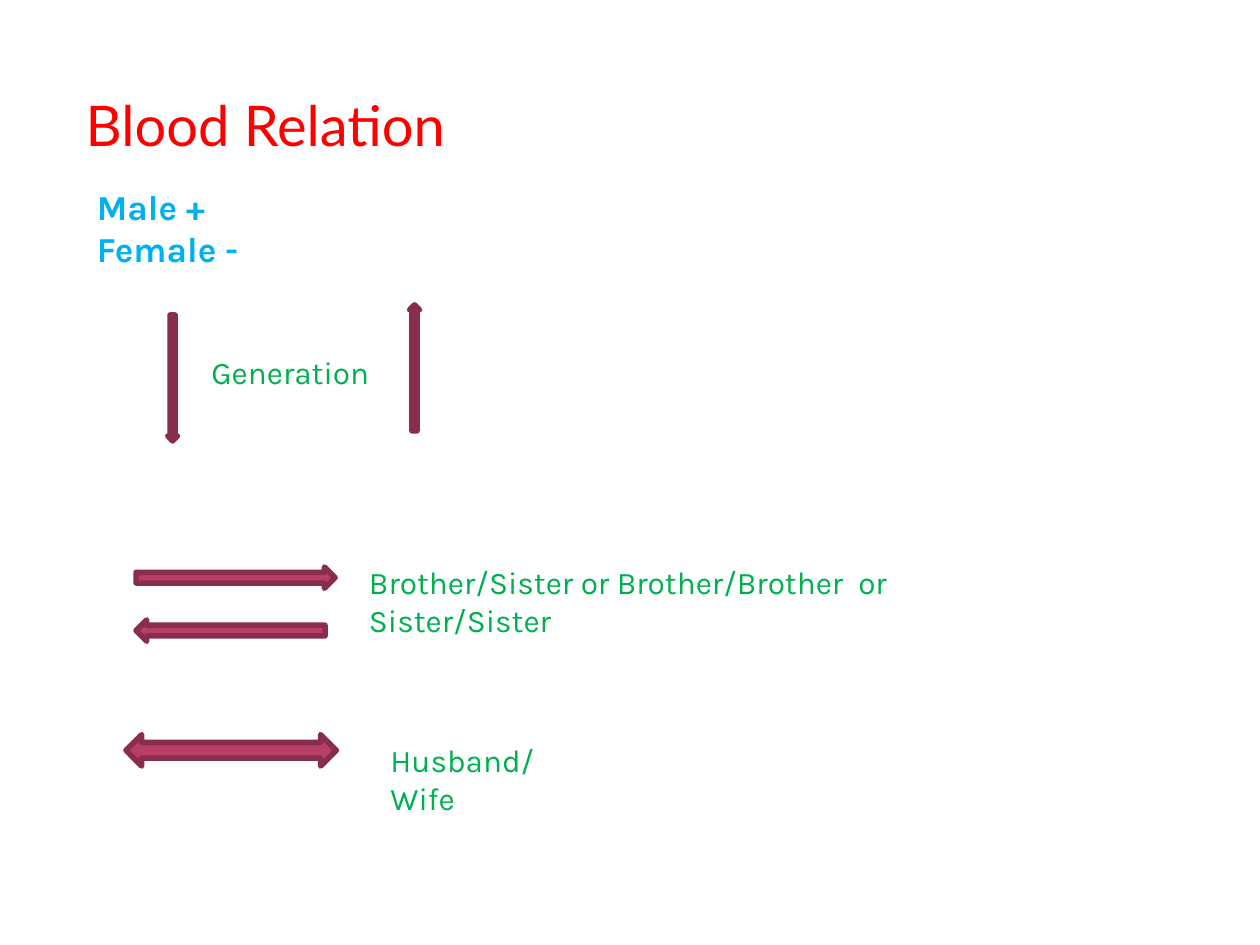
from dataclasses import dataclass

from pptx import Presentation
from pptx.dml.color import RGBColor
from pptx.enum.shapes import MSO_SHAPE
from pptx.enum.text import MSO_ANCHOR, MSO_AUTO_SIZE, PP_ALIGN
from pptx.util import Inches, Pt

DOWN, UP = MSO_SHAPE.DOWN_ARROW, MSO_SHAPE.UP_ARROW
RIGHT, LEFT = MSO_SHAPE.RIGHT_ARROW, MSO_SHAPE.LEFT_ARROW
BOTH = MSO_SHAPE.LEFT_RIGHT_ARROW
TOP = MSO_ANCHOR.TOP
NO_FIT = MSO_AUTO_SIZE.NONE
ALIGN_LEFT = PP_ALIGN.LEFT


@dataclass(frozen=True)
class Style:
    name: str
    size: float
    color: str
    bold: bool = False


@dataclass(frozen=True)
class Theme:
    title: Style = Style("Lato", 32, "FF0000")
    sign: Style = Style("Karla", 20, "00B0F0", True)
    relation: Style = Style("Karla", 18, "00B050")
    arrow_fill: str = "B83D68"
    arrow_line: str = "882D4D"
    arrow_width: float = 3.15


THEME = Theme()


@dataclass(frozen=True)
class Box:
    left: float
    top: float
    width: float
    height: float

    def lengths(self) -> list:
        return [Inches(v) for v in (self.left, self.top, self.width, self.height)]


@dataclass(frozen=True)
class Label:
    box: Box
    lines: tuple
    style: Style
    wrap: bool = False


@dataclass(frozen=True)
class Arrow:
    kind: MSO_SHAPE
    box: Box


TITLE = Label(Box(0.58, 0.67, 3.15, 0.64), ("Blood Relation",), THEME.title)
LABELS = (
    Label(Box(0.67, 1.42, 1.34, 0.77), ("Male +", "Female -"), THEME.sign),
    Label(Box(1.58, 2.75, 1.46, 0.4), ("Generation",), THEME.relation),
    Label(
        Box(2.83, 4.42, 4.42, 0.71),
        ("Brother/Sister or Brother/Brother  or", "Sister/Sister"),
        THEME.relation,
    ),
    Label(Box(3, 5.83, 1.88, 0.4), ("Husband/ Wife",), THEME.relation, True),
)
ARROWS = (
    Arrow(DOWN, Box(1.33, 2.5, 0.08, 1)),
    Arrow(UP, Box(3.25, 2.42, 0.08, 1)),
    Arrow(RIGHT, Box(1.08, 4.5, 1.58, 0.17)),
    Arrow(LEFT, Box(1.08, 4.92, 1.5, 0.17)),
    Arrow(BOTH, Box(1, 5.83, 1.67, 0.25)),
)


def set_attributes(target, values: dict) -> None:
    for name, value in values.items():
        setattr(target, name, value)


def write_label(sp, label: Label) -> None:
    tf = sp.text_frame
    frame = {"word_wrap": label.wrap, "auto_size": NO_FIT, "vertical_anchor": TOP}
    set_attributes(tf, frame)
    style = label.style
    font = {"name": style.name, "size": Pt(style.size), "bold": style.bold}
    tf.text = "\n".join(label.lines)
    for p in tf.paragraphs:
        p.alignment = ALIGN_LEFT
        for r in p.runs:
            set_attributes(r.font, font)
            r.font.color.rgb = RGBColor.from_string(style.color)


def draw_title(s, label: Label) -> None:
    sp = s.shapes.title
    set_attributes(sp, dict(zip(("left", "top", "width", "height"), label.box.lengths())))
    write_label(sp, label)


def draw_label(s, label: Label) -> None:
    write_label(s.shapes.add_textbox(*label.box.lengths()), label)


def draw_arrow(s, arrow: Arrow) -> None:
    sp = s.shapes.add_shape(arrow.kind, *arrow.box.lengths())
    sp.shadow.inherit = False
    sp.fill.solid()
    sp.fill.fore_color.rgb = RGBColor.from_string(THEME.arrow_fill)
    sp.line.color.rgb = RGBColor.from_string(THEME.arrow_line)
    sp.line.width = Pt(THEME.arrow_width)


def main() -> None:
    prs = Presentation()
    set_attributes(prs, {"slide_width": Inches(10), "slide_height": Inches(7.5)})
    s = prs.slides.add_slide(prs.slide_layouts[5])
    draw_title(s, TITLE)
    for label in LABELS:
        draw_label(s, label)
    for arrow in ARROWS:
        draw_arrow(s, arrow)
    prs.save("out.pptx")


if __name__ == "__main__":
    main()
